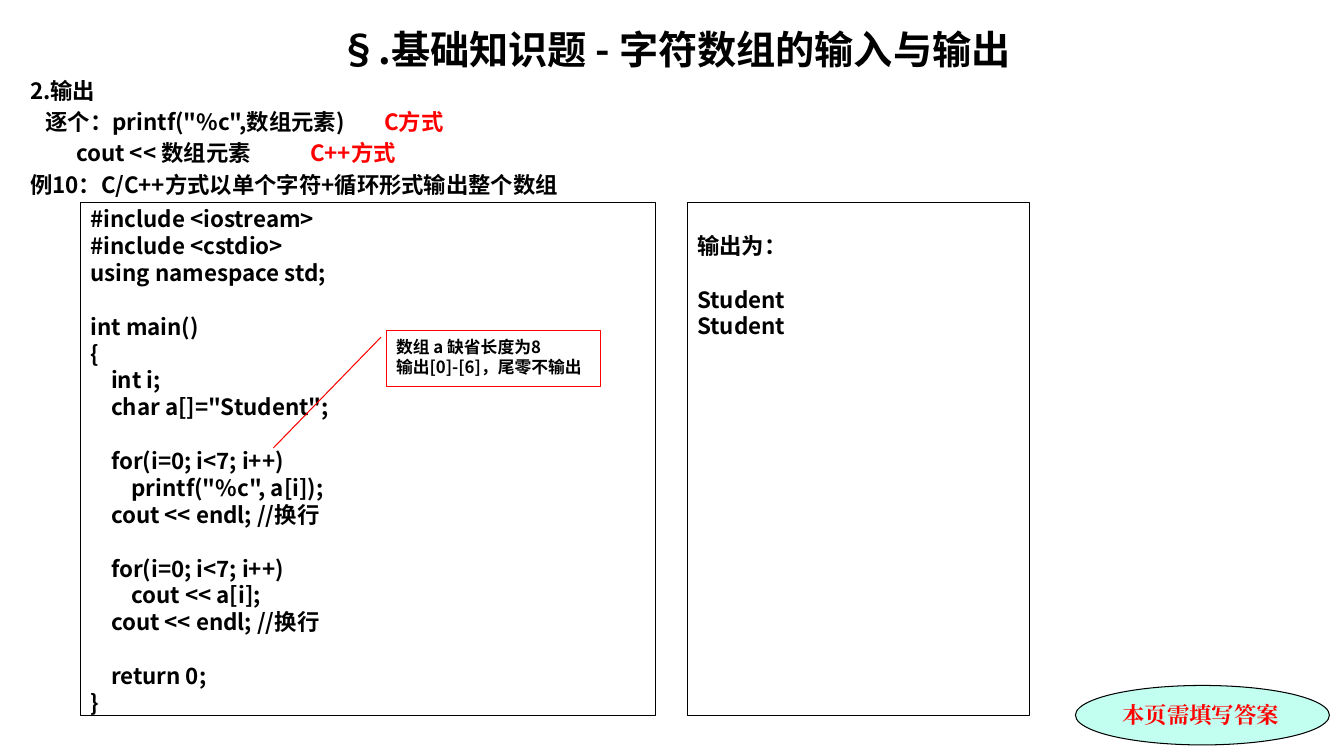
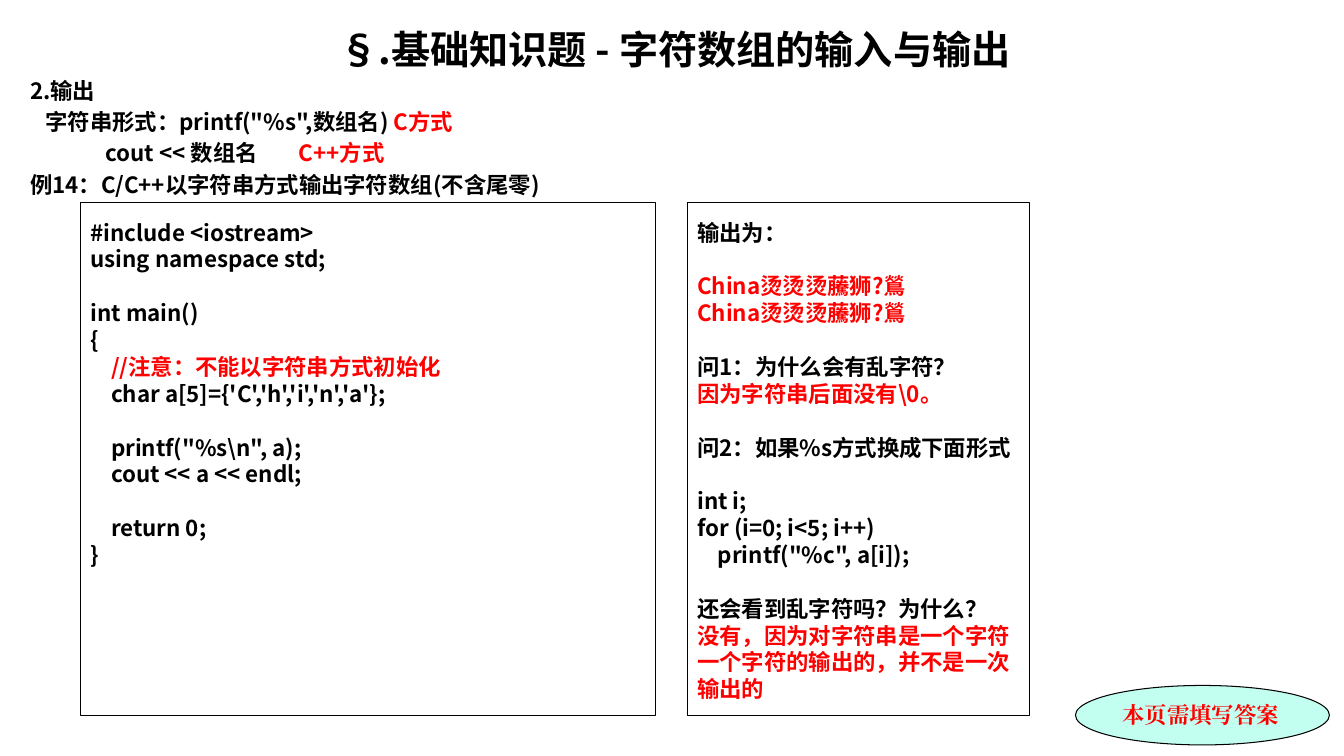
import dataclasses

import pptx
import pptx.dml.color
import pptx.enum.shapes
import pptx.enum.text
import pptx.oxml
import pptx.oxml.ns
import pptx.util

Pt = pptx.util.Pt
SHAPES = pptx.enum.shapes.MSO_SHAPE
ALIGN = pptx.enum.text.PP_ALIGN


@dataclasses.dataclass(frozen=True)
class Theme:
    ink: str = "000000"
    red: str = "FF0000"
    mint: str = "C2FFF0"
    font: str = "Noto Sans CJK SC"
    badge_font: str = "Times New Roman"
    title: int = 28
    body: int = 16
    note: int = 12
    leading: float = 1.2
    indent: float = 3.67  # width of one leading space in a code line
    line: float = 0.75


THEME = Theme()
RED_MARK = "~"


def rgb(value):
    return pptx.dml.color.RGBColor.from_string(value)


def add_text(p, text, size=THEME.body, color=THEME.ink, font=THEME.font):
    """Append one bold run and set the paragraph's exact line height."""
    p.line_spacing = Pt(size * THEME.leading)
    r = p.add_run()
    r.text = text
    r.font.size = Pt(size)
    r.font.bold = True
    r.font.color.rgb = rgb(color)
    r.font.name = font
    ea = pptx.oxml.parse_xml(
        f'<a:ea {pptx.oxml.ns.nsdecls("a")} typeface="{font}"/>')
    r.font._element.append(ea)


def set_tabs(p, stops):
    tabs = "".join(f'<a:tab pos="{Pt(x)}" algn="l"/>' for x in stops)
    p._p.get_or_add_pPr().append(pptx.oxml.parse_xml(
        f'<a:tabLst {pptx.oxml.ns.nsdecls("a")}>{tabs}</a:tabLst>'))


class Deck:
    def __init__(self, theme):
        self.theme = theme
        self.prs = pptx.Presentation()
        self.prs.slide_width, self.prs.slide_height = Pt(960), Pt(540)
        self.s = None

    def new_slide(self):
        self.s = self.prs.slides.add_slide(self.prs.slide_layouts[6])

    def frame(self, sp, top, right=7.2, wrap=True):
        """Set the insets of a shape and return its top-anchored text frame."""
        tf = sp.text_frame
        tf.word_wrap = wrap
        tf.vertical_anchor = pptx.enum.text.MSO_ANCHOR.TOP
        tf.margin_left, tf.margin_right = Pt(7.2), Pt(right)
        tf.margin_top, tf.margin_bottom = Pt(top), Pt(0)
        return tf

    def shape(self, kind, box, line, fill=None):
        sp = self.s.shapes.add_shape(kind, *map(Pt, box))
        sp.shadow.inherit = False
        sp.line.color.rgb = rgb(line)
        sp.line.width = Pt(self.theme.line)
        if fill:
            sp.fill.solid()
            sp.fill.fore_color.rgb = rgb(fill)
        else:
            sp.fill.background()
        return sp

    def paragraphs(self, tf, count):
        ps = [tf.paragraphs[0]] + [tf.add_paragraph() for _ in range(count - 1)]
        for p in ps:
            p.alignment = ALIGN.LEFT
        return ps

    def header(self, title, rows):
        """Each row is (tab stops, black text, red text)."""
        t = self.theme
        sp = self.s.shapes.add_textbox(*map(Pt, (14.4, 13, 935.3, 130)))
        first, *rest = self.paragraphs(self.frame(sp, 5), len(rows) + 1)
        first.alignment = ALIGN.CENTER
        add_text(first, title, size=t.title)
        for p, (stops, black, red) in zip(rest, rows):
            p.space_before = Pt(t.body * 0.2)
            set_tabs(p, stops)
            add_text(p, black)
            if red:
                add_text(p, red, color=t.red)

    def panel(self, left, width, top, text):
        """Outlined box of lines; leading spaces indent, empty lines add space."""
        t = self.theme
        sp = self.shape(SHAPES.RECTANGLE, (left, 144.7, width, 366.5), t.ink)
        lines = text.strip("\n").split("\n")
        shown = [i for i, line in enumerate(lines) if line]
        ps = self.paragraphs(self.frame(sp, top, wrap=False), len(shown))
        previous = -1
        for p, i in zip(ps, shown):
            line = lines[i].removeprefix(RED_MARK)
            body = line.lstrip(" ")
            pPr = p._p.get_or_add_pPr()
            pPr.set("marL", str(Pt((len(line) - len(body)) * t.indent)))
            pPr.set("indent", "0")
            p.space_before = Pt((i - previous - 1) * t.body * t.leading)
            add_text(p, body, color=t.red if line != lines[i] else t.ink)
            previous = i

    def callout(self, box, adjustments, lines):
        t = self.theme
        sp = self.shape(SHAPES.LINE_CALLOUT_1, box, t.red)
        for i, value in enumerate(adjustments):
            sp.adjustments[i] = value
        ps = self.paragraphs(self.frame(sp, 4.5, right=0), len(lines))
        for p, line in zip(ps, lines):
            add_text(p, line, size=t.note)

    def badge(self, text):
        t = self.theme
        sp = self.shape(SHAPES.OVAL, (768.2, 489.6, 181.4, 42.5), t.ink, t.mint)
        p, = self.paragraphs(self.frame(sp, 4.7), 1)
        add_text(p, text, color=t.red, font=t.badge_font)

    def exercise(self, rows, code, code_top, output, output_top):
        self.new_slide()
        self.header("§.基础知识题 - 字符数组的输入与输出",
                    [((), "2.输出", ""), *rows])
        self.badge("本页需填写答案")
        self.panel(57.6, 410.4, code_top, code)
        self.panel(491, 244.1, output_top, output)


CHAR_CODE = r"""
#include <iostream>
#include <cstdio>
using namespace std;

int main()
{
    int i;
    char a[]="Student";

    for(i=0; i<7; i++)
        printf("%c", a[i]);
    cout << endl; //换行

    for(i=0; i<7; i++)
        cout << a[i];
    cout << endl; //换行

    return 0;
}
"""

CHAR_OUTPUT = """
输出为：

Student
Student
"""

STRING_CODE = r"""
#include <iostream>
using namespace std;

int main()
{
~    //注意：不能以字符串方式初始化
    char a[5]={'C','h','i','n','a'};

    printf("%s\n", a);
    cout << a << endl;

    return 0;
}
"""

STRING_OUTPUT = r"""
输出为：

~China烫烫烫虅狮?鶑
~China烫烫烫虅狮?鶑

问1：为什么会有乱字符？
~因为字符串后面没有\0。

问2：如果%s方式换成下面形式

int i;
for (i=0; i<5; i++)
    printf("%c", a[i]);

还会看到乱字符吗？为什么？
~没有，因为对字符串是一个字符
~一个字符的输出的，并不是一次
~输出的
"""


def main():
    deck = Deck(THEME)
    deck.exercise(
        [((11, 253), "\t逐个：printf(\"%c\",数组元素)\t", "C方式"),
         ((33, 200), "\tcout << 数组元素\t", "C++方式"),
         ((), "例10：C/C++方式以单个字符+循环形式输出整个数组", "")],
        CHAR_CODE, 2, CHAR_OUTPUT, 21)
    deck.callout((275.8, 236.2, 153.4, 39.6), (0.117, -0.024, 2.115, -0.525),
                 ["数组 a 缺省长度为8", "输出[0]-[6]，尾零不输出"])
    deck.exercise(
        [((11,), "\t字符串形式：printf(\"%s\",数组名) ", "C方式"),
         ((54, 192), "\tcout << 数组名\t", "C++方式"),
         ((), "例14：C/C++以字符串方式输出字符数组(不含尾零)", "")],
        STRING_CODE, 11.5, STRING_OUTPUT, 11.5)
    deck.prs.save("out.pptx")


if __name__ == "__main__":
    main()
